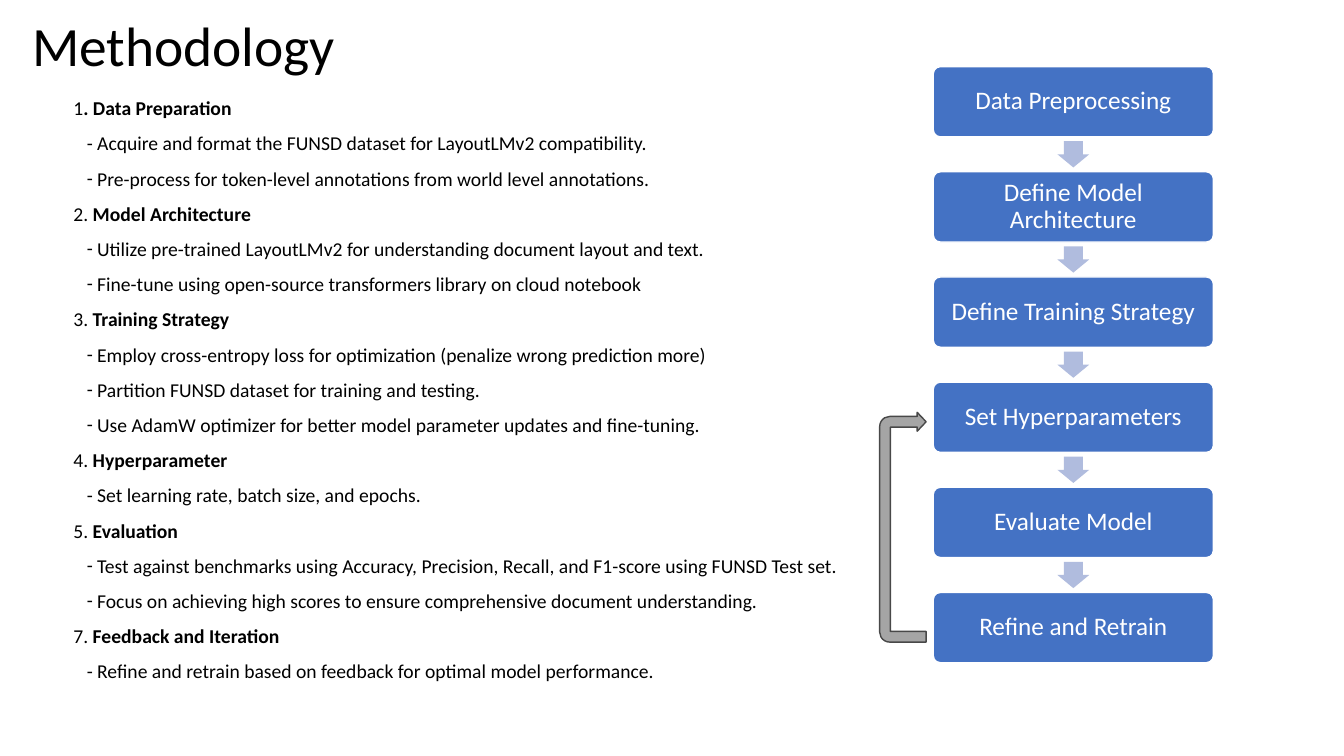
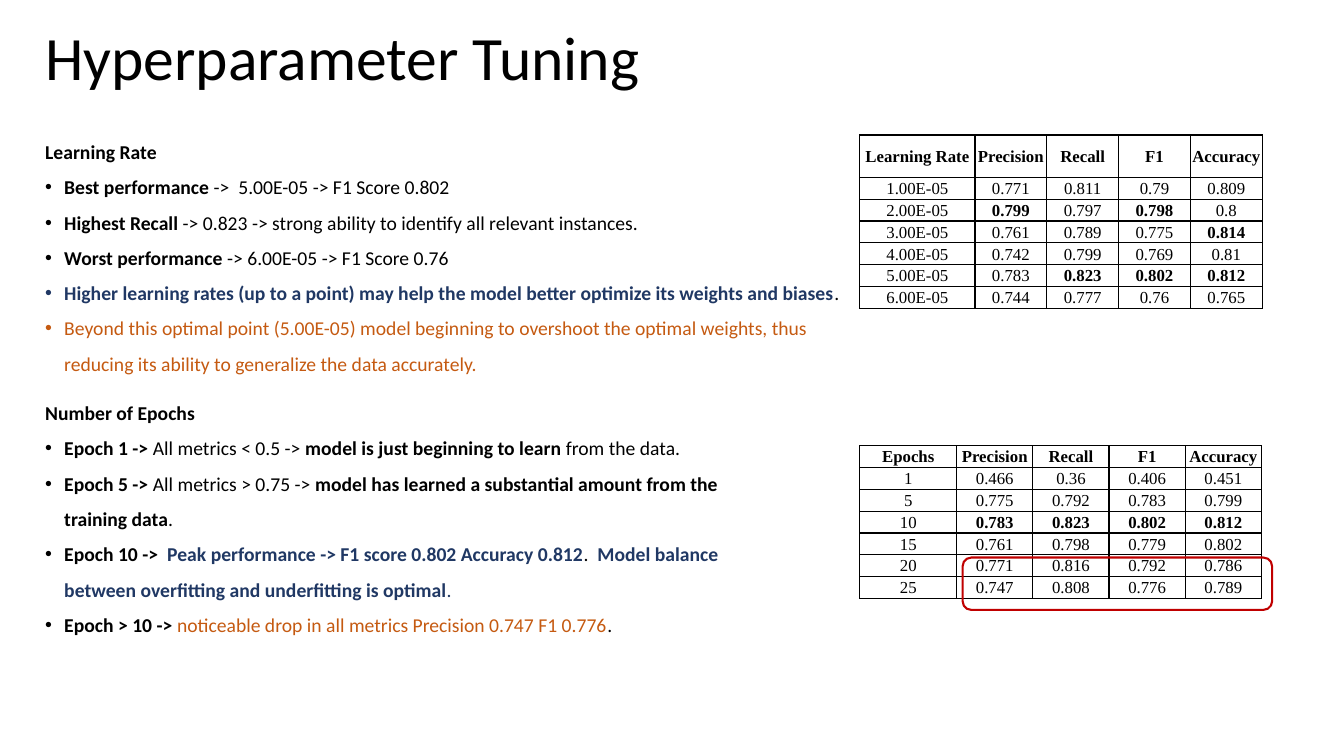
"""Build two slides on the method and the hyperparameter tuning of a document model."""
from pptx import Presentation
from pptx.dml.color import RGBColor
from pptx.enum.shapes import MSO_SHAPE as Shape
from pptx.enum.text import MSO_ANCHOR as Anchor, PP_ALIGN as Align
from pptx.oxml.ns import qn
from pptx.util import Cm, Pt
from lxml.etree import SubElement, Element

COLOURS = {
    "black": "000000", "white": "FFFFFF", "blue": "4472C4", "pale": "B0BCDE",
    "grey": "A5A5A5", "dark": "484848", "navy": "203864", "orange": "C55A11",
    "red": "C00000",
}


def write(frame, paragraphs, size=14, font="Calibri", colour="black", align=Align.LEFT,
          anchor=Anchor.TOP, spacing=1.0, before=0, bullet="•", hang=0.48, indent=0.48,
          margins=(0.25, 0.13, 0.25, 0.13)):
    """Fill a frame with (bulleted, runs) paragraphs, each run being (text, bold[, colour])."""
    frame.word_wrap = True
    frame.vertical_anchor = anchor
    frame.margin_left, frame.margin_top, frame.margin_right, frame.margin_bottom = map(Cm, margins)
    for index, (bulleted, runs) in enumerate(paragraphs):
        paragraph = frame.paragraphs[0] if index == 0 else frame.add_paragraph()
        if bulleted:
            properties = paragraph._p.get_or_add_pPr()
            properties.set("marL", str(Cm(indent)))
            properties.set("indent", str(-Cm(hang)))
            SubElement(properties, qn("a:buFont"), typeface="Arial" if bullet == "•" else font)
            SubElement(properties, qn("a:buChar"), char=bullet)
        paragraph.alignment = align
        paragraph.line_spacing = spacing
        if index and before:
            paragraph.space_before = Pt(before)
        for text, bold, *tint in runs:
            run = paragraph.add_run()
            run.text = text
            run.font.name, run.font.size, run.font.bold = font, Pt(size), bold
            run.font.color.rgb = RGBColor.from_string(COLOURS[tint[0] if tint else colour])


def add_block(slide, kind, left, top, width, height, fill=None, line=None, weight=1, adjust=()):
    """Add a preset shape with its fill, outline and adjustments."""
    shape = slide.shapes.add_shape(kind, Cm(left), Cm(top), Cm(width), Cm(height))
    shape.shadow.inherit = False
    for index, value in enumerate(adjust):
        shape.adjustments[index] = value
    for part, colour in ((shape.fill, fill), (shape.line.fill, line)):
        if colour:
            part.solid()
            part.fore_color.rgb = RGBColor.from_string(COLOURS[colour])
        else:
            part.background()
    if line:
        shape.line.width = Pt(weight)
    return shape


presentation = Presentation()
presentation.slide_width, presentation.slide_height = Cm(33.87), Cm(19.05)

titles = [
    ("Methodology", 39.6, (0.56, 0.36, 29.2, 1.73)),
    ("Hyperparameter Tuning", 44, (0.89, 0.41, 29.2, 2.24)),
]
slides = []
for title, size, place in titles:
    slide = presentation.slides.add_slide(presentation.slide_layouts[6])
    box = slide.shapes.add_textbox(*map(Cm, place))
    write(box.text_frame, [(False, [(title, False)])], size=size, anchor=Anchor.MIDDLE, spacing=0.9)
    slides.append(slide)
method_slide, tuning_slide = slides

stages = [
    ("1", ". Data Preparation", [
        "Acquire and format the FUNSD dataset for LayoutLMv2 compatibility.",
        "Pre-process for token-level annotations from world level annotations."]),
    ("2. ", "Model Architecture", [
        "Utilize pre-trained LayoutLMv2 for understanding document layout and text.",
        "Fine-tune using open-source transformers library on cloud notebook"]),
    ("3. ", "Training Strategy", [
        "Employ cross-entropy loss for optimization (penalize wrong prediction more)",
        "Partition FUNSD dataset for training and testing.",
        "Use AdamW optimizer for better model parameter updates and fine-tuning."]),
    ("4. ", "Hyperparameter", ["Set learning rate, batch size, and epochs."]),
    ("5. ", "Evaluation", [
        "Test against benchmarks using Accuracy, Precision, Recall, and F1-score using FUNSD Test set.",
        "Focus on achieving high scores to ensure comprehensive document understanding."]),
    ("7. ", "Feedback and Iteration", [
        "Refine and retrain based on feedback for optimal model performance."]),
]
outline = []
for number, heading, points in stages:
    outline.append((False, [(number, False), (heading, True)]))
    outline += [(True, [(point, False)]) for point in points]
box = method_slide.shapes.add_textbox(Cm(1.6), Cm(2.36), Cm(20.12), Cm(16.03))
write(box.text_frame, outline, spacing=0.9, before=10, bullet="-", hang=0.26, indent=0.6)

steps = ["Data Preprocessing", "Define Model Architecture", "Define Training Strategy",
         "Set Hyperparameters", "Evaluate Model", "Refine and Retrain"]
step_left, step_top, step_width, step_height, step_pitch = 23.52, 1.68, 7.06, 1.77, 2.65
arrow_width, arrow_height = 0.8, 0.66
for index, step in enumerate(steps):
    top = step_top + index * step_pitch
    shape = add_block(method_slide, Shape.ROUNDED_RECTANGLE, step_left, top, step_width,
                      step_height, fill="blue", line="white", adjust=[0.1])
    write(shape.text_frame, [(False, [(step, False)])], size=18, colour="white",
          align=Align.CENTER, anchor=Anchor.MIDDLE, spacing=0.9, margins=(0.23,) * 4)
    if index < len(steps) - 1:
        gap = step_pitch - step_height
        add_block(method_slide, Shape.DOWN_ARROW, step_left + (step_width - arrow_width) / 2,
                  top + step_height + (gap - arrow_height) / 2, arrow_width, arrow_height,
                  fill="pale", adjust=[0.6, 0.5])
loop_arrow = add_block(method_slide, Shape.U_TURN_ARROW, 19.86, 12.7, 5.79, 1.17, fill="grey",
                       line="dark", adjust=[0.23, 0.203, 0.192, 0.216, 1])
loop_arrow.rotation = 270

tables = [
    (3.4, 2.9, 1.81, 1.07, [
        "*Learning Rate|*Precision|*Recall|*F1|*Accuracy",
        "1.00E-05|0.771|0.811|0.79|0.809",
        "2.00E-05|*0.799|0.797|*0.798|0.8",
        "3.00E-05|0.761|0.789|0.775|*0.814",
        "4.00E-05|0.742|0.799|0.769|0.81",
        "5.00E-05|0.783|*0.823|*0.802|*0.812",
        "6.00E-05|0.744|0.777|0.76|0.765"]),
    (11.23, 2.44, 1.92, 0.55, [
        "*Epochs|*Precision|*Recall|*F1|*Accuracy",
        "1|0.466|0.36|0.406|0.451",
        "5|0.775|0.792|0.783|0.799",
        "10|*0.783|*0.823|*0.802|*0.812",
        "15|0.761|0.798|0.779|0.802",
        "20|0.771|0.816|0.792|0.786",
        "25|0.747|0.808|0.776|0.789"]),
]
row_height = 0.55
for top, first_width, metric_width, header_height, lines in tables:
    rows = [line.split("|") for line in lines]
    widths = [first_width] + [metric_width] * 4
    heights = [header_height] + [row_height] * (len(rows) - 1)
    table = tuning_slide.shapes.add_table(len(rows), len(widths), Cm(21.67), Cm(top),
                                          Cm(sum(widths)), Cm(sum(heights))).table
    table.first_row = table.horz_banding = False
    for column, width in zip(table.columns, widths):
        column.width = Cm(width)
    for row, height, values in zip(table.rows, heights, rows):
        row.height = Cm(height)
        for cell, value in zip(row.cells, values):
            write(cell.text_frame, [(False, [(value.lstrip("*"), value.startswith("*"))])],
                  size=12, font="Times New Roman", align=Align.CENTER)
            cell.vertical_anchor = Anchor.MIDDLE
            cell.margin_left = cell.margin_top = cell.margin_right = Cm(0.03)
            cell.margin_bottom = 0
            cell.fill.background()
            properties = cell._tc.get_or_add_tcPr()
            for position, side in enumerate(("a:lnL", "a:lnR", "a:lnT", "a:lnB")):
                border = Element(qn(side), w=str(Pt(1)))
                solid = SubElement(border, qn("a:solidFill"))
                SubElement(solid, qn("a:srgbClr"), val=COLOURS["black"])
                properties.insert(position, border)

add_block(tuning_slide, Shape.ROUNDED_RECTANGLE, 24.26, 14.05, 7.8, 1.32, line="red", weight=1.5)

findings = [
    (3.1, 20.62, [
        (False, [("Learning Rate", True)]),
        (True, [("Best performance", True), (" ->  5.00E-05 -> F1 Score 0.802", False)]),
        (True, [("Highest Recall", True),
                (" -> 0.823 -> strong ability to identify all relevant instances.", False)]),
        (True, [("Worst performance", True), (" -> 6.00E-05 -> F1 Score 0.76", False)]),
        (True, [("Higher learning rates (up to a point) may help the model better optimize "
                 "its weights and biases", True, "navy"), (".", False)]),
        (True, [("Beyond this optimal point (5.00E-05) model beginning to overshoot the optimal "
                 "weights, thus reducing its ability to generalize the data accurately.",
                 False, "orange")])]),
    (9.68, 17.98, [
        (False, [("Number of Epochs", True)]),
        (True, [("Epoch 1 -> ", True), ("All metrics < 0.5 -> ", False),
                ("model is just beginning to learn ", True), ("from the data.", False)]),
        (True, [("Epoch 5 -> ", True), ("All metrics > 0.75 -> ", False),
                ("model has learned a substantial amount from the training data", True),
                (".", False)]),
        (True, [("Epoch 10 ->  ", True),
                ("Peak performance -> F1 score 0.802 Accuracy 0.812", True, "navy"),
                (".  ", False),
                ("Model balance between overfitting and underfitting is optimal", True, "navy"),
                (".", False, "navy")]),
        (True, [("Epoch > 10 -> ", True),
                ("noticeable drop in all metrics Precision 0.747 F1 0.776", False, "orange"),
                (".", False)])]),
]
for top, width, paragraphs in findings:
    box = tuning_slide.shapes.add_textbox(Cm(0.89), Cm(top), Cm(width), Cm(6.45))
    write(box.text_frame, paragraphs, spacing=1.5)

presentation.save("out.pptx")
